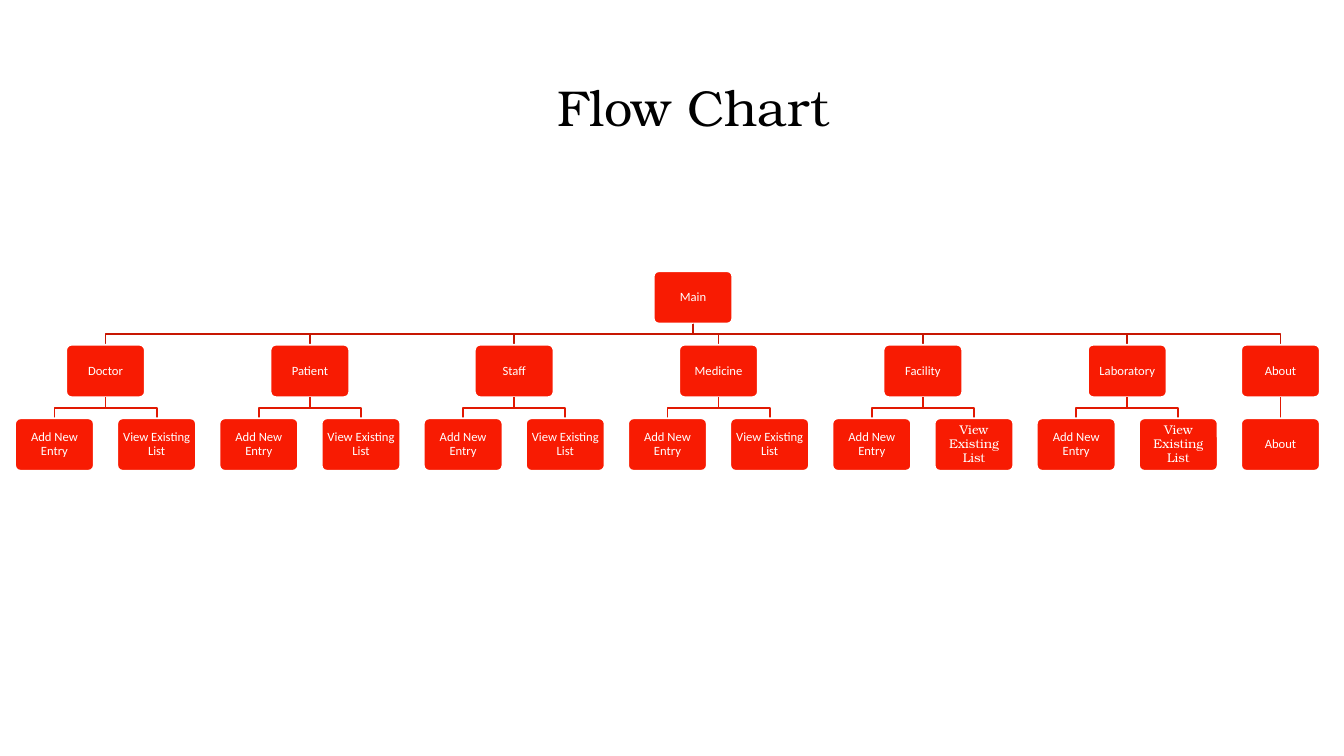
from dataclasses import dataclass

from lxml.etree import SubElement
from pptx import Presentation
from pptx.dml.color import RGBColor
from pptx.enum.shapes import MSO_CONNECTOR, MSO_SHAPE
from pptx.enum.text import MSO_ANCHOR, MSO_AUTO_SIZE, PP_ALIGN
from pptx.oxml.ns import qn
from pptx.util import Inches, Pt


@dataclass(frozen=True)
class Theme:
    node_fill: RGBColor = RGBColor.from_string("F81B02")
    branch_line: RGBColor = RGBColor.from_string("C71602")
    leaf_line: RGBColor = RGBColor.from_string("E11902")
    white: RGBColor = RGBColor.from_string("FFFFFF")
    black: RGBColor = RGBColor.from_string("000000")
    serif: str = "TeX Gyre Bonum"
    sans: str = "Calibri"
    title_size: Pt = Pt(36)
    node_size: Pt = Pt(9)
    line_width: Pt = Pt(1.25)


@dataclass(frozen=True)
class Box:
    left: int
    top: int
    width: int
    height: int

    @property
    def center(self):
        return self.left + self.width // 2

    @property
    def bottom(self):
        return self.top + self.height


THEME = Theme()
NODE_WIDTH, NODE_HEIGHT = Inches(0.78), Inches(0.52)
ADD, VIEW = ("Add New Entry", THEME.sans), ("View Existing List", THEME.sans)
VIEW_SERIF = ("View Existing List", THEME.serif)
BRANCHES = [
    ("Doctor", [ADD, VIEW]),
    ("Patient", [ADD, VIEW]),
    ("Staff", [ADD, VIEW]),
    ("Medicine", [ADD, VIEW]),
    ("Facility", [ADD, VIEW_SERIF]),
    ("Laboratory", [ADD, VIEW_SERIF]),
    ("About", [("About", THEME.sans)]),
]


def apply(target, formats):
    for name, value in formats.items():
        setattr(target, name, value)


def write(para, text, font, size, color):
    span = para.add_run()
    span.text = text
    apply(span.font, {"name": font, "size": size})
    span.font.color.rgb = color


def set_line(shape, color):
    shape.line.color.rgb = color
    shape.line.width = THEME.line_width


def add_title(page, box, text):
    frame = page.shapes.add_textbox(box.left, box.top, box.width, box.height).text_frame
    apply(frame, {"word_wrap": True, "auto_size": MSO_AUTO_SIZE.SHAPE_TO_FIT_TEXT})
    write(frame.paragraphs[0], text, THEME.serif, THEME.title_size, THEME.black)


def add_node(page, box, text, font=THEME.sans):
    node = page.shapes.add_shape(
        MSO_SHAPE.ROUNDED_RECTANGLE, box.left, box.top, box.width, box.height)
    node.adjustments[0] = 0.1
    node.shadow.inherit = False
    node.fill.solid()
    node.fill.fore_color.rgb = THEME.node_fill
    set_line(node, THEME.white)
    frame = node.text_frame
    inset = Inches(0.04)
    apply(frame, {"word_wrap": True, "vertical_anchor": MSO_ANCHOR.MIDDLE,
                  "margin_left": inset, "margin_right": inset,
                  "margin_top": inset, "margin_bottom": inset})
    para = frame.paragraphs[0]
    apply(para, {"alignment": PP_ALIGN.CENTER, "line_spacing": 0.9})
    write(para, text, font, THEME.node_size, THEME.white)


def add_link(page, parent, child, color):
    start, end = (parent.center, parent.bottom), (child.center, child.top)
    if parent.center == child.center:
        link = page.shapes.add_connector(MSO_CONNECTOR.STRAIGHT, *start, *end)
        SubElement(link._element.spPr, qn("a:effectLst"))
    else:
        # Step sideways halfway between the two rows
        middle = (parent.bottom + child.top) // 2
        builder = page.shapes.build_freeform(*start)
        builder.add_line_segments(
            [(parent.center, middle), (child.center, middle), end], close=False)
        link = builder.convert_to_shape()
        link.fill.background()
        link.shadow.inherit = False
    set_line(link, color)


def add_tree(page, box, root_text, branches):
    leaf_count = sum(len(leaves) for _, leaves in branches)
    column_step = (box.width - NODE_WIDTH) / (leaf_count - 1)
    row_step = (box.height - NODE_HEIGHT) / 2

    def node_box(column, row):
        return Box(round(box.left + column * column_step),
                   round(box.top + row * row_step), NODE_WIDTH, NODE_HEIGHT)

    # Each branch sits over the middle of its leaves, the root over all branches
    first_leaf, columns = 0, []
    for _, leaves in branches:
        columns.append(first_leaf + (len(leaves) - 1) / 2)
        first_leaf += len(leaves)
    root = node_box((columns[0] + columns[-1]) / 2, 0)
    add_node(page, root, root_text)

    for column, (text, leaves) in zip(columns, branches):
        branch = node_box(column, 1)
        add_link(page, root, branch, THEME.branch_line)
        add_node(page, branch, text)
        for index, (leaf_text, font) in enumerate(leaves):
            leaf = node_box(column - (len(leaves) - 1) / 2 + index, 2)
            add_link(page, branch, leaf, THEME.leaf_line)
            add_node(page, leaf, leaf_text, font)


def main():
    deck = Presentation()
    apply(deck, {"slide_width": Inches(13.33), "slide_height": Inches(7.5)})
    page = deck.slides.add_slide(deck.slide_layouts[6])
    page.background.fill.solid()
    page.background.fill.fore_color.rgb = THEME.white

    tree_box = Box(Inches(0.15), Inches(2.69), Inches(12.94), Inches(1.98))
    add_tree(page, tree_box, "Main", BRANCHES)
    title_box = Box(Inches(5.43), Inches(0.71), Inches(3), Inches(0.71))
    add_title(page, title_box, "Flow Chart")
    deck.save("out.pptx")


if __name__ == "__main__":
    main()
